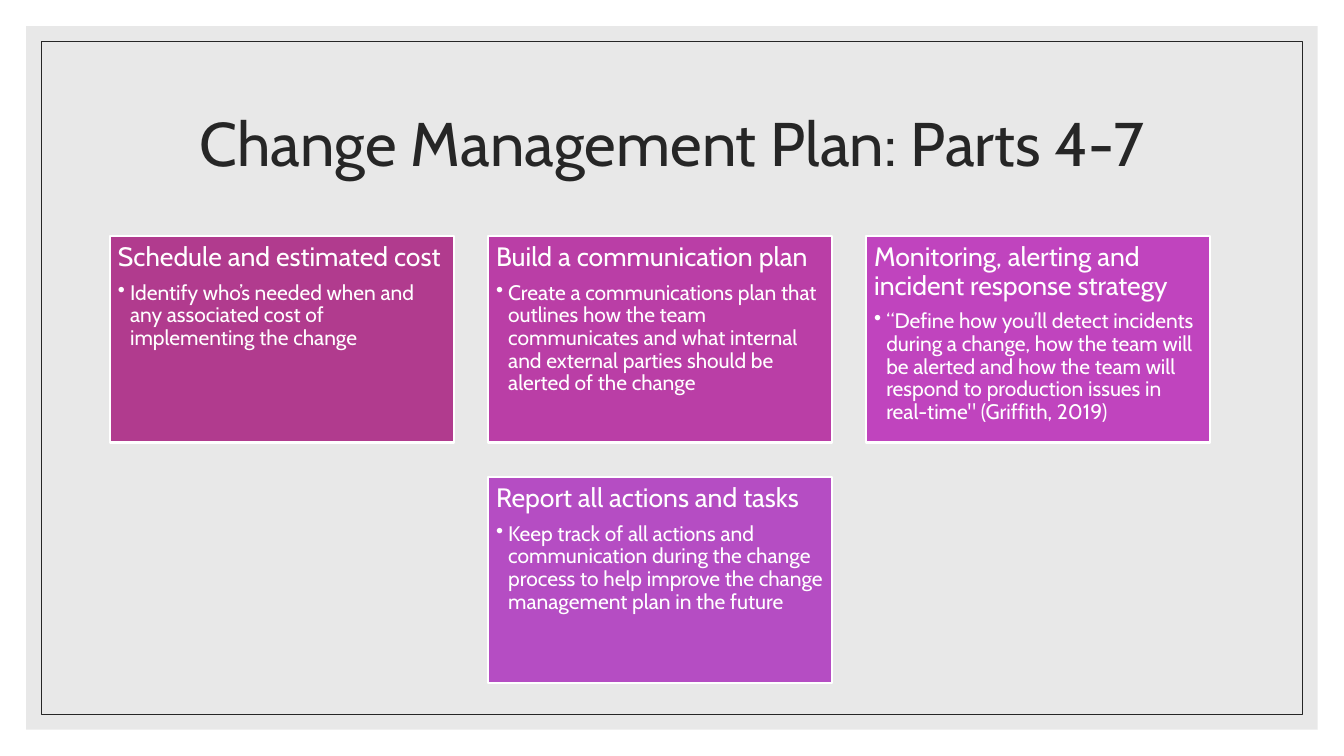
from dataclasses import dataclass

from lxml.etree import SubElement
from pptx import Presentation
from pptx.dml.color import RGBColor
from pptx.enum.shapes import MSO_SHAPE as Preset
from pptx.enum.text import MSO_ANCHOR as Anchor, PP_ALIGN as Align
from pptx.oxml.ns import qn
from pptx.shapes.autoshape import Shape
from pptx.slide import Slide
from pptx.text.text import _Paragraph as Paragraph
from pptx.util import Inches, Pt

SLIDE_WIDTH, SLIDE_HEIGHT = 13.33, 7.5
FONT = "Cabin"
WHITE = RGBColor(0xFF, 0xFF, 0xFF)
PANEL_GRAY = RGBColor(0xD9, 0xD9, 0xD9)
INK = RGBColor(0x26, 0x26, 0x26)
MAGENTA = RGBColor(0xB1, 0x3B, 0x8E)
FUCHSIA = RGBColor(0xBA, 0x3E, 0xA6)
ORCHID = RGBColor(0xC0, 0x44, 0xBE)
VIOLET = RGBColor(0xB5, 0x4D, 0xC3)

# Card grid, in inches
GRID_LEFT, GRID_TOP = 1.09, 2.34
CARD_WIDTH, CARD_HEIGHT = 3.41, 2.05
GAP = 0.34
CARD_INSET = 0.08
BULLET_INDENT = 0.12


@dataclass(frozen=True)
class Card:
    column: int
    row: int
    color: RGBColor
    heading: str
    detail: str


CARDS = [
    Card(0, 0, MAGENTA, "Schedule and estimated cost",
         "Identify who’s needed when and any associated cost of "
         "implementing the change"),
    Card(1, 0, FUCHSIA, "Build a communication plan",
         "Create a communications plan that outlines how the team "
         "communicates and what internal and external parties should be "
         "alerted of the change"),
    Card(2, 0, ORCHID, "Monitoring, alerting and incident response strategy",
         "“Define how you’ll detect incidents during a change, how the team "
         "will be alerted and how the team will respond to production issues "
         'in real-time" (Griffith, 2019)'),
    Card(1, 1, VIOLET, "Report all actions and tasks",
         "Keep track of all actions and communication during the change "
         "process to help improve the change management plan in the future"),
]


def add_rectangle(slide: Slide, left: float, top: float,
                  width: float, height: float) -> Shape:
    """Add a rectangle without shadow, fill or line."""
    shape = slide.shapes.add_shape(
        Preset.RECTANGLE, Inches(left), Inches(top), Inches(width), Inches(height))
    shape.shadow.inherit = False
    shape.fill.background()
    shape.line.fill.background()
    return shape


def add_centered_rectangle(slide: Slide, margin: float) -> Shape:
    return add_rectangle(slide, margin, margin,
                         SLIDE_WIDTH - 2 * margin, SLIDE_HEIGHT - 2 * margin)


def set_fill(shape: Shape, color: RGBColor) -> None:
    shape.fill.solid()
    shape.fill.fore_color.rgb = color


def set_line(shape: Shape, color: RGBColor, points: float) -> None:
    shape.line.color.rgb = color
    shape.line.width = Pt(points)


def set_opacity(shape: Shape, percent: int) -> None:
    color = shape.fill._xPr.find(qn("a:solidFill"))[0]
    SubElement(color, qn("a:alpha"), val=str(percent * 1000))


def write(paragraph: Paragraph, text: str, size: float, color: RGBColor,
          align: Align = Align.LEFT, space_after: float = 0) -> None:
    paragraph.text = text
    paragraph.alignment = align
    paragraph.line_spacing = 0.9
    paragraph.space_after = Pt(space_after)
    for run in paragraph.runs:
        run.font.name = FONT
        run.font.size = Pt(size)
        run.font.color.rgb = color


def add_bullet(paragraph: Paragraph) -> None:
    properties = paragraph._p.get_or_add_pPr()
    properties.set("marL", str(Inches(BULLET_INDENT)))
    properties.set("indent", str(-Inches(BULLET_INDENT)))
    SubElement(properties, qn("a:buChar"), char="•")


def add_frame(slide: Slide) -> None:
    panel = add_centered_rectangle(slide, 0.26)
    set_fill(panel, PANEL_GRAY)
    set_opacity(panel, 60)
    set_line(add_centered_rectangle(slide, 0.41), INK, 0.5)


def add_title(slide: Slide, text: str) -> None:
    title = slide.shapes.add_textbox(
        Inches(1.17), Inches(0.7), Inches(11), Inches(1.5))
    text_frame = title.text_frame
    text_frame.word_wrap = True
    text_frame.vertical_anchor = Anchor.MIDDLE
    write(text_frame.paragraphs[0], text, 44, INK, Align.CENTER)


def add_card(slide: Slide, card: Card) -> None:
    shape = add_rectangle(slide,
                          GRID_LEFT + card.column * (CARD_WIDTH + GAP),
                          GRID_TOP + card.row * (CARD_HEIGHT + GAP),
                          CARD_WIDTH, CARD_HEIGHT)
    set_fill(shape, card.color)
    set_line(shape, WHITE, 1.5)

    text_frame = shape.text_frame
    text_frame.word_wrap = True
    text_frame.vertical_anchor = Anchor.TOP
    text_frame.margin_left = text_frame.margin_right = Inches(CARD_INSET)
    text_frame.margin_top = text_frame.margin_bottom = Inches(CARD_INSET)

    write(text_frame.paragraphs[0], card.heading, 19, WHITE, space_after=6.65)
    detail = text_frame.add_paragraph()
    detail.level = 1
    write(detail, card.detail, 15, WHITE, space_after=2.25)
    add_bullet(detail)


def main() -> None:
    presentation = Presentation()
    presentation.slide_width = Inches(SLIDE_WIDTH)
    presentation.slide_height = Inches(SLIDE_HEIGHT)
    slide = presentation.slides.add_slide(presentation.slide_layouts[6])
    slide.background.fill.solid()
    slide.background.fill.fore_color.rgb = WHITE

    add_frame(slide)
    add_title(slide, "Change Management Plan: Parts 4-7")
    for card in CARDS:
        add_card(slide, card)
    presentation.save("out.pptx")


if __name__ == "__main__":
    main()
